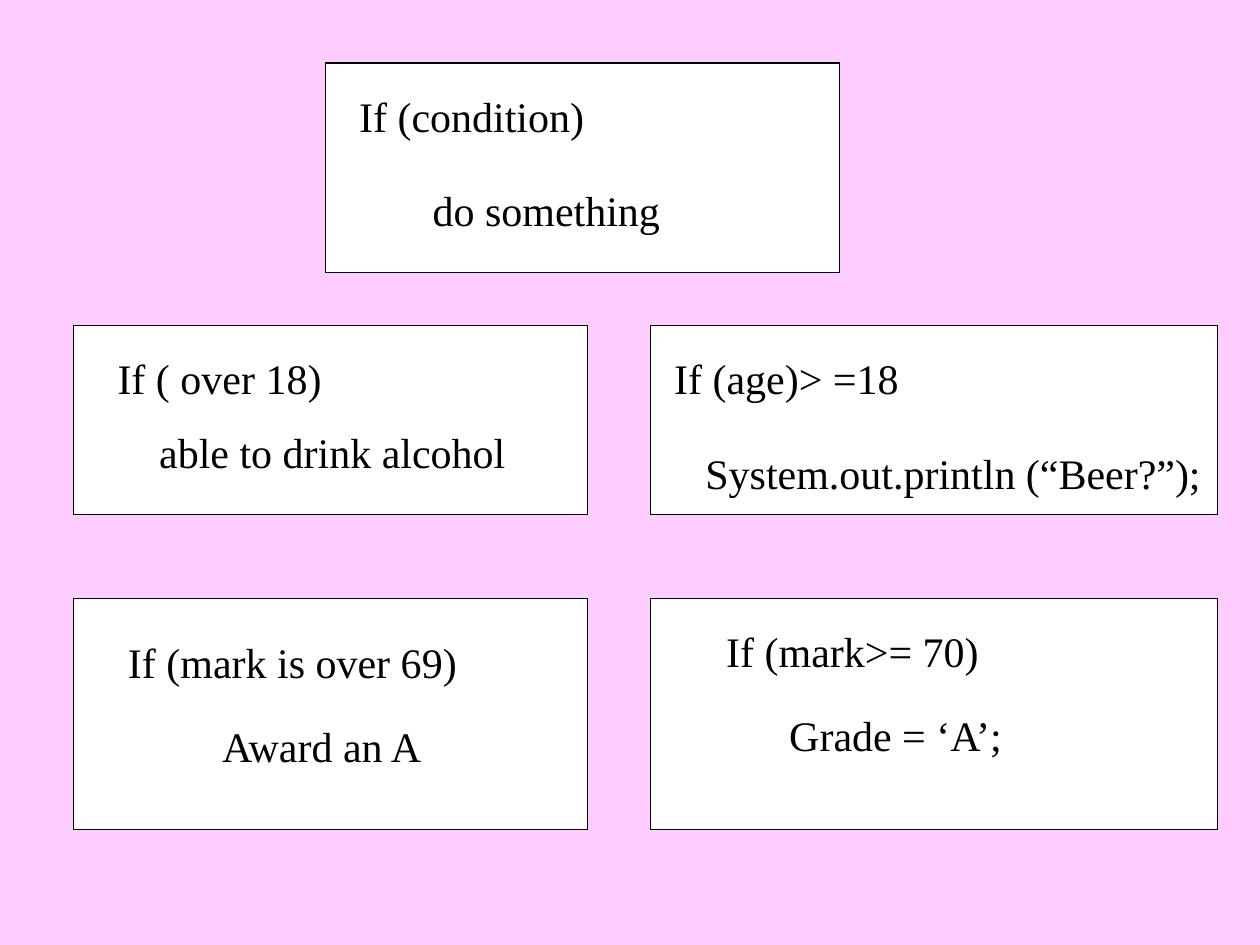
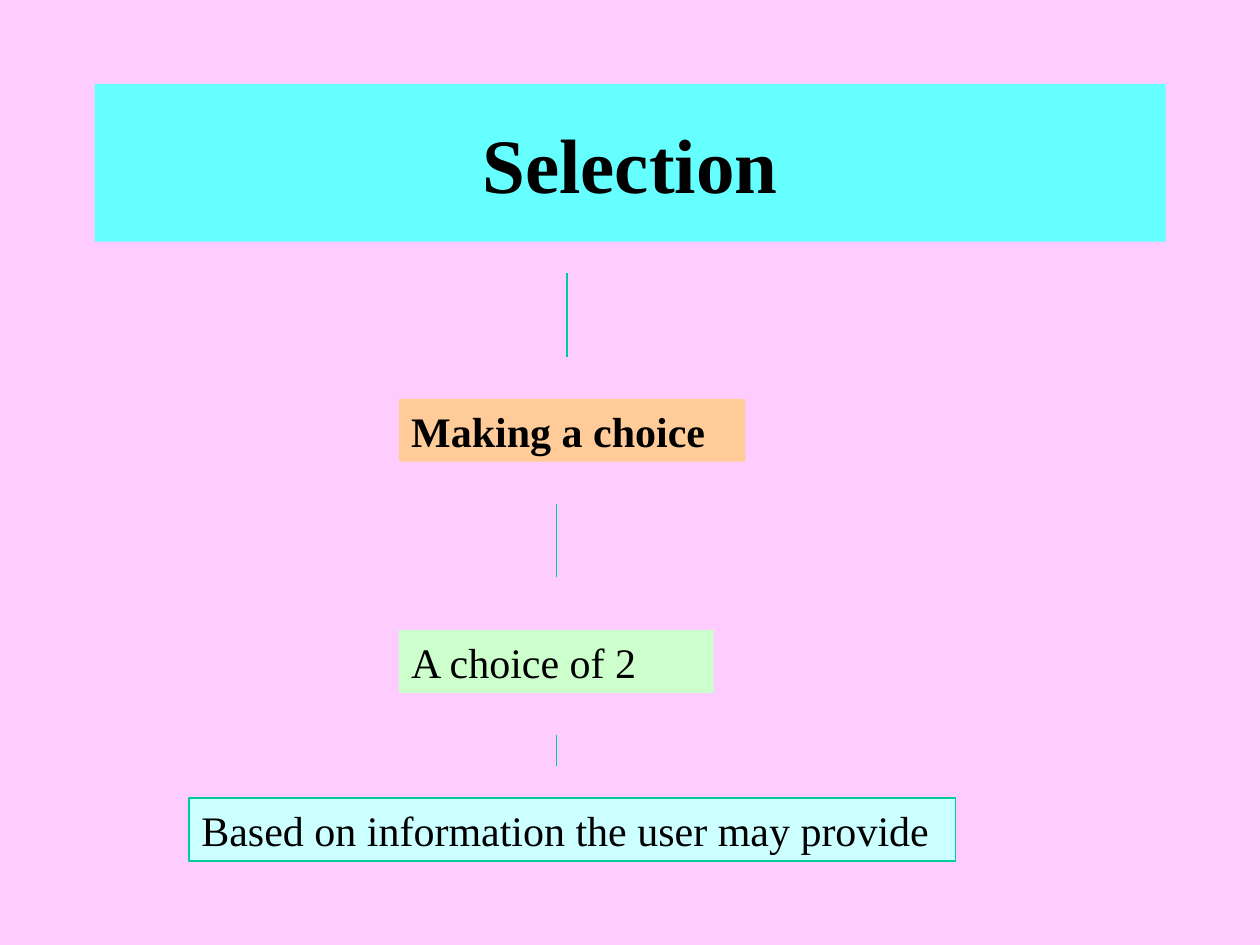
from pptx import Presentation
from pptx.dml.color import RGBColor
from pptx.enum.shapes import MSO_CONNECTOR as Connector, MSO_SHAPE as Shape
from pptx.enum.text import MSO_ANCHOR as Anchor, MSO_AUTO_SIZE as AutoSize, PP_ALIGN as Align
from pptx.oxml.ns import qn
from pptx.util import Cm, Pt
from lxml.etree import SubElement

COLORS = {
    "background": "FFCCFF",
    "text": "000000",
    "frame": "FFFFFF",
    "title": "66FFFF",
    "accent": "00CC99",
    "choice": "FFCC99",
    "two": "CCFFCC",
    "information": "CCFFFF",
}
FONT = "Times New Roman"
LINE_WIDTH = Pt(0.75)
LABEL_HEIGHT = 1.27

# Columns (left, width) and rows (top, height) of the example frames, in cm
COLUMNS = [(1.48, 10.37), (13.12, 11.43)]
ROWS = [(6.56, 3.81), (12.07, 4.66)]
SYNTAX_FRAME = (6.56, 1.27, 10.37, 4.23)

# Condition and action of each example: text, left, top, width in cm
STATEMENTS = [
    ("If (condition)", 6.99, 1.69, 10.37),
    ("do something", 8.47, 3.6, 5.29),
    ("If ( over 18)", 2.12, 6.99, 6.77),
    ("able to drink alcohol", 2.96, 8.47, 8.04),
    ("If (mark is over 69)", 2.33, 12.7, 8.89),
    ("Award an A", 4.23, 14.39, 5.08),
    ("If (age)> =18", 13.34, 6.99, 8.04),
    ("System.out.println (“Beer?”);", 13.97, 8.89, 10.58),
    ("If (mark>= 70)", 14.39, 12.49, 8.26),
    ("Grade = ‘A’;", 15.66, 14.18, 6.14),
]

# Links between the steps: x, top, bottom in cm
LINKS = [(11.43, 5.5, 7.2), (11.22, 10.16, 11.64), (11.22, 14.82, 15.45)]


def color(name):
    return RGBColor.from_string(COLORS[name])


def paint(fill, name):
    fill.solid()
    fill.fore_color.rgb = color(name)


def style_text(paragraph, size=24, bold=False):
    font = paragraph.font
    font.name, font.size, font.bold = FONT, Pt(size), bold
    font.color.rgb = color("text")


def add_frame(slide, left, top, width, height):
    frame = slide.shapes.add_shape(
        Shape.RECTANGLE, Cm(left), Cm(top), Cm(width), Cm(height))
    frame.shadow.inherit = False
    paint(frame.fill, "frame")
    frame.line.color.rgb = color("text")
    frame.line.width = LINE_WIDTH


def add_label(slide, text, left, top, width, bold=False):
    label = slide.shapes.add_textbox(Cm(left), Cm(top), Cm(width), Cm(LABEL_HEIGHT))
    label.text_frame.word_wrap = True
    label.text_frame.text = text
    style_text(label.text_frame.paragraphs[0], bold=bold)
    return label


def add_step(slide, text, left, top, width, fill, bold=False):
    step = add_label(slide, text, left, top, width, bold)
    paint(step.fill, fill)
    return step


def add_link(slide, x, top, bottom):
    link = slide.shapes.add_connector(
        Connector.STRAIGHT, Cm(x), Cm(top), Cm(x), Cm(bottom))
    link.line.color.rgb = color("accent")
    link.line.width = LINE_WIDTH
    SubElement(link._element.spPr, qn("a:effectLst"))


def set_title(slide, text):
    title = slide.shapes.title
    title.left, title.top, title.width, title.height = Cm(1.91), Cm(1.69), Cm(21.59), Cm(3.18)
    paint(title.fill, "title")
    title.text_frame.text = text
    title.text_frame.auto_size = AutoSize.NONE
    title.text_frame.vertical_anchor = Anchor.MIDDLE
    heading = title.text_frame.paragraphs[0]
    heading.alignment = Align.CENTER
    style_text(heading, 44, True)


def build_if_examples(prs):
    slide = prs.slides.add_slide(prs.slide_layouts[6])
    add_frame(slide, *SYNTAX_FRAME)
    for left, width in COLUMNS:
        for top, height in ROWS:
            add_frame(slide, left, top, width, height)
    for statement in STATEMENTS:
        add_label(slide, *statement)


def build_selection(prs):
    slide = prs.slides.add_slide(prs.slide_layouts[5])
    set_title(slide, "Selection")
    add_step(slide, "Making a choice", 8.04, 8.04, 6.99, "choice", bold=True)
    add_step(slide, "A choice of 2", 8.04, 12.7, 6.35, "two")
    information = add_step(slide, "Based on information the user may provide",
                           3.81, 16.09, 15.45, "information")
    information.line.color.rgb = color("accent")
    information.line.width = LINE_WIDTH
    for link in LINKS:
        add_link(slide, *link)


def main():
    prs = Presentation()
    prs.slide_width, prs.slide_height = Cm(25.4), Cm(19.05)
    # Shared background
    paint(prs.slide_master.background.fill, "background")
    build_if_examples(prs)
    build_selection(prs)
    prs.save("out.pptx")


if __name__ == "__main__":
    main()
